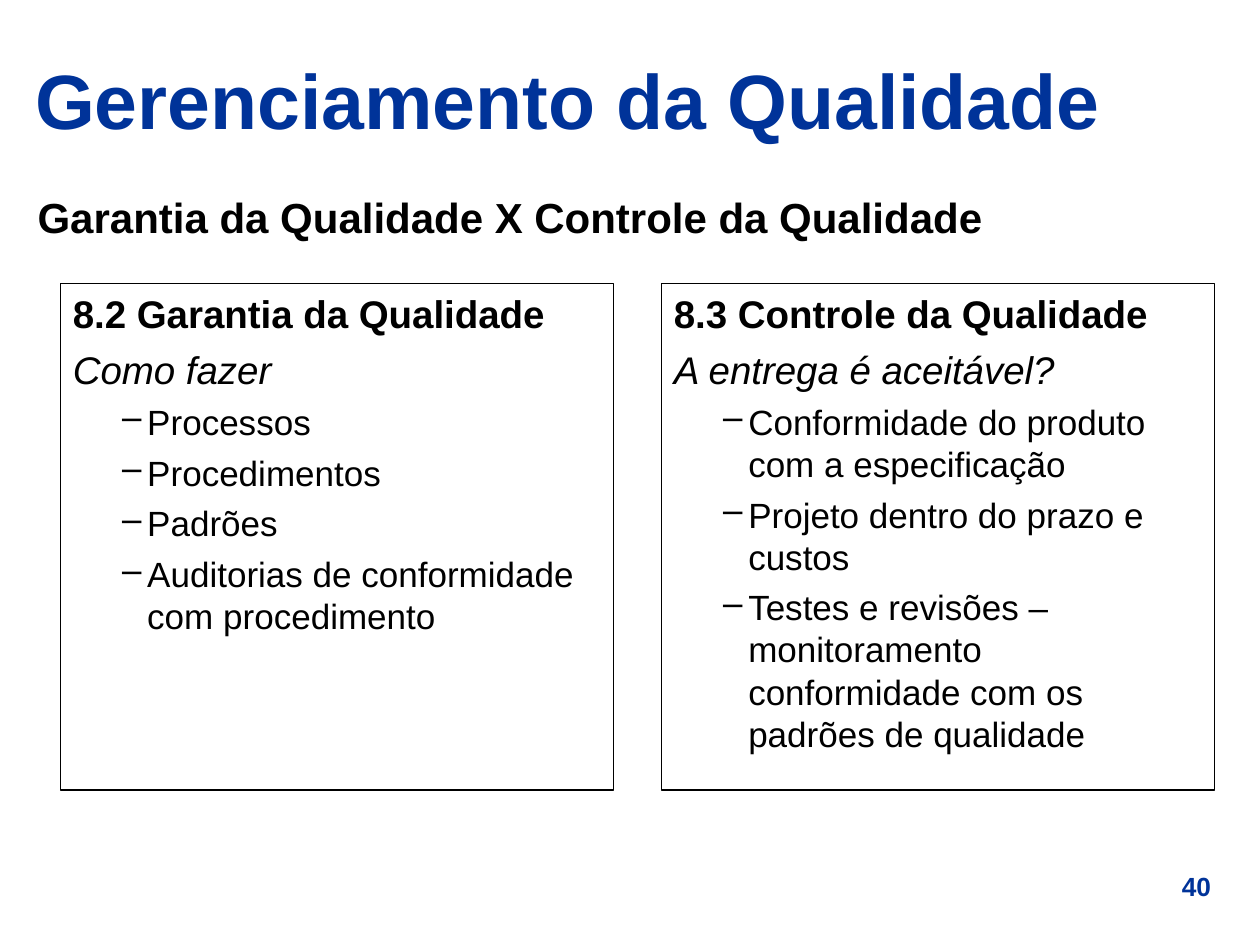
from lxml.etree import SubElement
from pptx import Presentation
from pptx.dml.color import RGBColor
from pptx.enum.shapes import MSO_SHAPE
from pptx.enum.text import MSO_ANCHOR, PP_ALIGN
from pptx.oxml.ns import qn
from pptx.util import Inches, Pt

BLUE = RGBColor(0x00, 0x33, 0x99)
BLACK = RGBColor(0, 0, 0)

# Content
TITLE = "Gerenciamento da Qualidade"
TOPIC = "Garantia da Qualidade X Controle da Qualidade"
PAGE = "40"
PANELS = [
    ("8.2 Garantia da Qualidade", "Como fazer", [
        "Processos",
        "Procedimentos",
        "Padrões",
        "Auditorias de conformidade com procedimento",
    ]),
    ("8.3 Controle da Qualidade", "A entrega é aceitável?", [
        "Conformidade do produto com a especificação",
        "Projeto dentro do prazo e custos",
        "Testes e revisões – monitoramento conformidade com os padrões de qualidade",
    ]),
]

# Panel grid
LEFT, TOP, WIDTH, HEIGHT, GAP = 0.48, 2.25, 4.39, 4.02, 0.38


def write(frame, text, size, color=BLACK, bold=False, italic=False,
          align=PP_ALIGN.LEFT, before=0, indent=0, hang=0, bullet=None):
    """Fill the first paragraph if it is empty, otherwise add one."""
    para = frame.paragraphs[0] if not frame.text else frame.add_paragraph()
    para.alignment = align
    para.space_before = Pt(before)
    run = para.add_run()
    run.text = text
    font = run.font
    font.name, font.size = "Arial", Pt(size)
    font.bold, font.italic = bold, italic
    font.color.rgb = color
    props = para._p.get_or_add_pPr()
    props.set("marL", str(Inches(indent)))
    props.set("indent", str(-Inches(hang)))
    if bullet:
        tint = SubElement(props, qn("a:buClr"))
        SubElement(tint, qn("a:srgbClr"), val=str(BLACK))
        SubElement(props, qn("a:buChar"), char=bullet)


def add_box(slide, *place, anchor=MSO_ANCHOR.TOP):
    frame = slide.shapes.add_textbox(*map(Inches, place)).text_frame
    frame.word_wrap = True
    frame.vertical_anchor = anchor
    return frame


def add_panel(slide, left, head, lead, items):
    box = slide.shapes.add_shape(
        MSO_SHAPE.RECTANGLE, *map(Inches, (left, TOP, WIDTH, HEIGHT)))
    box.shadow.inherit = False
    box.fill.background()
    box.line.color.rgb = BLACK
    box.line.width = Pt(0.75)
    frame = box.text_frame
    frame.word_wrap = True
    frame.vertical_anchor = MSO_ANCHOR.TOP
    write(frame, head, 22, bold=True, before=5.5, indent=0.2, hang=0.2)
    write(frame, lead, 22, italic=True, before=5.5, indent=0.2, hang=0.2)
    for item in items:
        write(frame, item, 20, before=5, indent=0.59, hang=0.2, bullet="–")


def main():
    deck = Presentation()
    deck.slide_width, deck.slide_height = Inches(10), Inches(7.5)
    slide = deck.slides.add_slide(deck.slide_layouts[6])

    # Page number
    write(add_box(slide, 9.1, 6.86, 0.79, 0.35), PAGE, 15, color=BLUE,
          bold=True, align=PP_ALIGN.CENTER, before=9.4)

    # Title and topic
    write(add_box(slide, 0.18, 0.28, 9.62, 1.01, anchor=MSO_ANCHOR.MIDDLE),
          TITLE, 44, color=BLUE, bold=True)
    write(add_box(slide, 0.2, 1.47, 9.61, 5.59), TOPIC, 24, bold=True,
          before=6, indent=0.38, hang=0.38)

    # Side-by-side panels
    for col, panel in enumerate(PANELS):
        add_panel(slide, LEFT + col * (WIDTH + GAP), *panel)

    deck.save("out.pptx")


if __name__ == "__main__":
    main()
